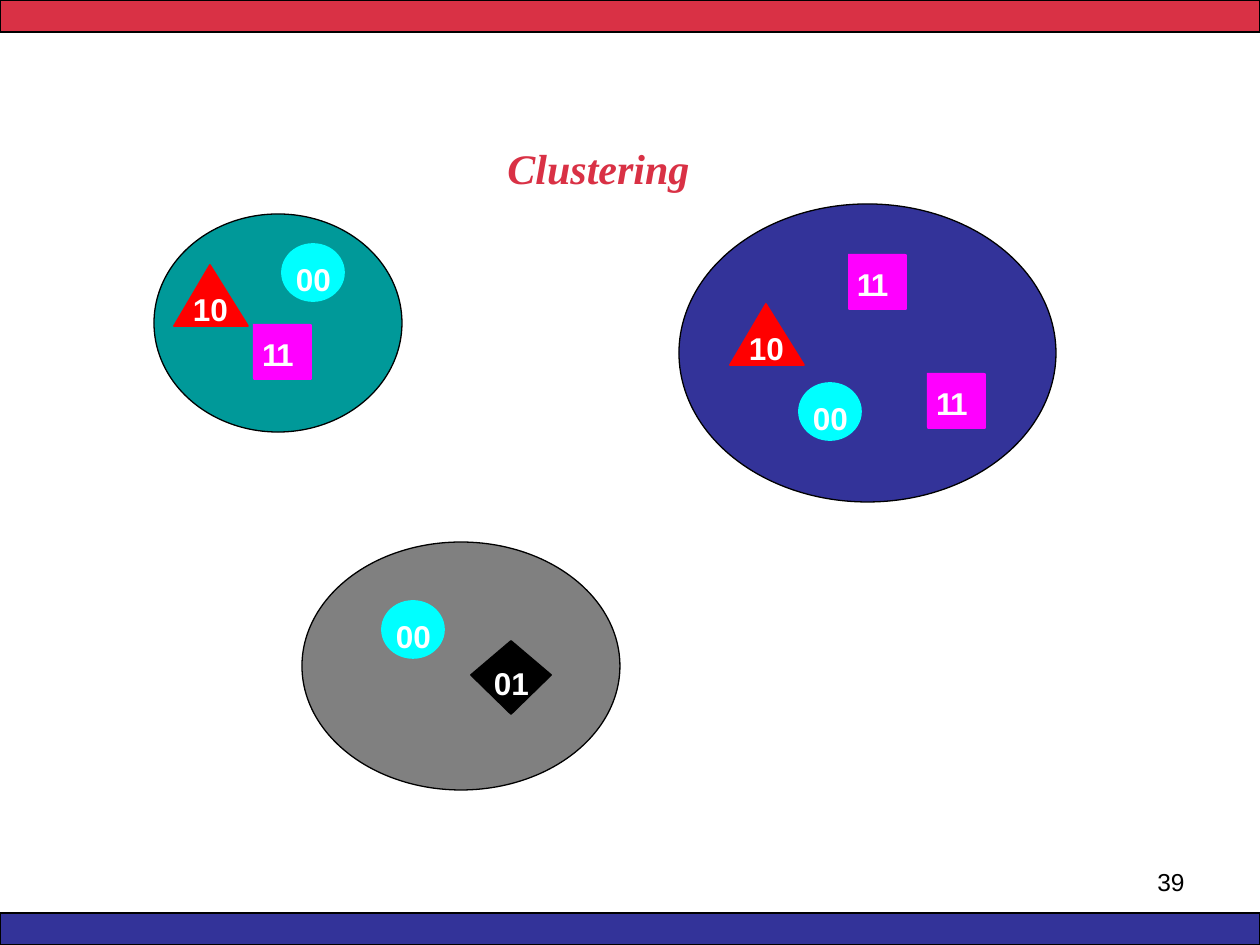
"""Builds the slide on clustering: three clusters holding labelled markers."""
from pptx import Presentation, util as u
from pptx.dml.color import RGBColor
from pptx.enum import shapes, text

PX = 914400 / 126
COLORS = {
    "red": "D93145", "navy": "333399", "teal": "009999", "gray": "808080",
    "black": "000000", "white": "FFFFFF", "magenta": "FF00FF",
    "cyan": "00FFFF", "bright_red": "FF0000",
}
RECT = shapes.MSO_SHAPE.RECTANGLE
OVAL = shapes.MSO_SHAPE.OVAL


def px(*lengths):
    return [u.Emu(round(length * PX)) for length in lengths]


def rgb(name):
    return RGBColor.from_string(COLORS[name])


class ClusterSlide:
    def __init__(self, slide):
        self.slide = slide

    def paint(self, shape, fill, line, width):
        shape.shadow.inherit = False
        if fill:
            shape.fill.solid()
            shape.fill.fore_color.rgb = rgb(fill)
        else:
            shape.fill.background()
        if line:
            shape.line.color.rgb = rgb(line)
            shape.line.width = u.Pt(width)
        else:
            shape.line.fill.background()

    def preset(self, kind, box, fill=None, line="black", width=0.75, parent=None):
        parent = parent or self.slide
        self.paint(parent.shapes.add_shape(kind, *px(*box)), fill, line, width)

    def polygon(self, parent, points, fill):
        builder = parent.shapes.build_freeform(*points[0], scale=PX)
        builder.add_line_segments(points[1:], close=True)
        self.paint(builder.convert_to_shape(), fill, fill, 1)

    def words(self, frame, wording, font, size, color, align=None, bold=False, italic=False):
        paragraph = frame.paragraphs[0]
        paragraph.alignment = align
        run = paragraph.add_run()
        run.text = wording
        run.font.name, run.font.size = font, u.Pt(size)
        run.font.bold, run.font.italic = bold, italic
        run.font.color.rgb = rgb(color)

    def label(self, parent, code, x, y, width=35):
        frame = parent.shapes.add_textbox(*px(x, y, width, 38)).text_frame
        frame.margin_left = frame.margin_right = 0
        frame.margin_top = frame.margin_bottom = 0
        frame.word_wrap = False
        frame.auto_size = text.MSO_AUTO_SIZE.SHAPE_TO_FIT_TEXT
        self.words(frame, code, "Arial", 18, "white", bold=True)

    def group(self):
        return self.slide.shapes.add_group_shape()

    def circle(self, x, y):
        marker = self.group()
        self.preset(OVAL, (x, y, 62, 57), "cyan", "cyan", 1, marker)
        self.label(marker, "00", x + 14, y + 16)

    def square(self, x, y):
        marker = self.group()
        self.preset(RECT, (x, y, 57, 54), "magenta", None, parent=marker)
        self.label(marker, "1", x + 9, y + 11, 18)
        self.preset(RECT, (x + 1, y + 1, 57, 54), None, "magenta", 1, marker)
        self.label(marker, "1", x + 23, y + 11, 18)

    def triangle(self, x, y):
        marker = self.group()
        self.polygon(marker, [(x + 36, y), (x, y + 61), (x + 74, y + 61)], "bright_red")
        self.label(marker, "10", x + 19, y + 25)

    def diamond(self, x, y):
        marker = self.group()
        corners = [(x + 40, y), (x, y + 34), (x + 40, y + 73), (x + 80, y + 34)]
        self.polygon(marker, corners, "black")
        self.label(marker, "01", x + 23, y + 23)

    def title(self, wording, box):
        heading = self.slide.shapes.title
        heading.left, heading.top, heading.width, heading.height = px(*box)
        frame = heading.text_frame
        frame.auto_size = text.MSO_AUTO_SIZE.NONE
        frame.vertical_anchor = text.MSO_ANCHOR.MIDDLE
        self.words(frame, wording, "Times New Roman", 24, "red",
                   text.PP_ALIGN.CENTER, bold=True, italic=True)

    def page_number(self, number, box):
        frame = self.slide.shapes.add_textbox(*px(*box)).text_frame
        frame.word_wrap = True
        self.words(frame, number, "Arial", 14, "black", text.PP_ALIGN.RIGHT)


def main():
    deck = Presentation()
    deck.slide_width, deck.slide_height = px(1260, 945)
    page = ClusterSlide(deck.slides.add_slide(deck.slide_layouts[5]))
    for top, color in ((0, "red"), (913, "navy")):
        page.preset(RECT, (0, top, 1260, 32), color)
    page.page_number("39", (903, 861, 294, 66))
    clusters = (
        ((154, 214, 248, 218), "teal"),
        ((302, 542, 318, 248), "gray"),
        ((679, 204, 377, 298), "navy"),
    )
    for box, color in clusters:
        page.preset(OVAL, box, color)
    markers = (
        (page.diamond, [(471, 641)]),
        (page.square, [(848, 254), (253, 324), (927, 373)]),
        (page.circle, [(282, 244), (799, 383), (382, 601)]),
        (page.triangle, [(730, 304), (174, 265)]),
    )
    for draw, corners in markers:
        for corner in corners:
            draw(*corner)
    page.title("Clustering", (441, 136, 315, 63))
    deck.save("out.pptx")


if __name__ == "__main__":
    main()
